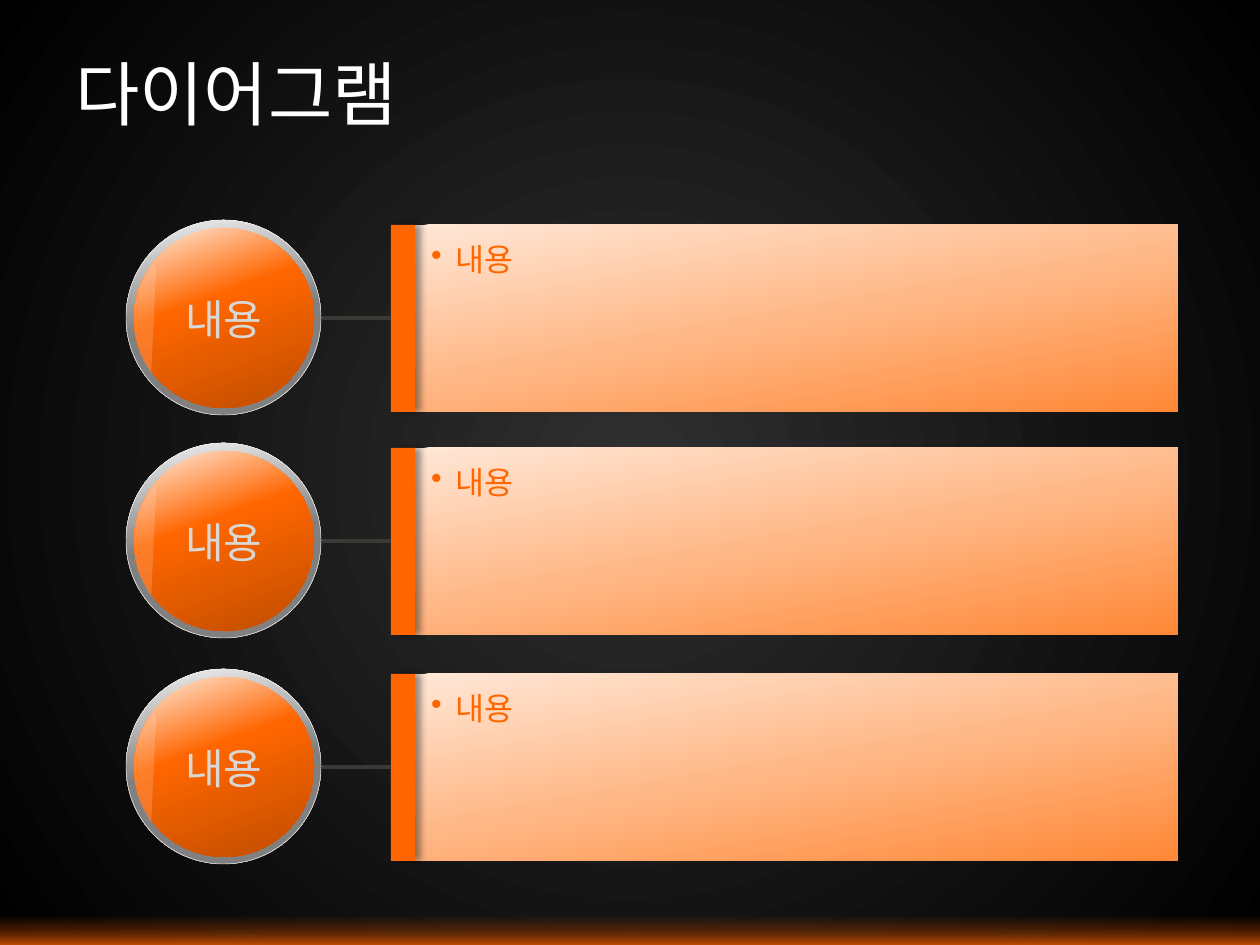
from pptx import Presentation
from pptx.dml.color import RGBColor
from pptx.enum.shapes import MSO_CONNECTOR, MSO_SHAPE
from pptx.enum.text import MSO_ANCHOR, MSO_AUTO_SIZE, PP_ALIGN
from pptx.oxml import parse_xml
from pptx.oxml.ns import nsdecls, qn
from pptx.util import Pt

TITLE = "다이어그램"
ROWS = [(220, "내용", "내용"), (443, "내용", "내용"), (669, "내용", "내용")]
FONT = "Arial"
ORANGE = "FF6600"

BACKDROP = [(0, "2F2F2F", 100), (100, "000000", 100)]
GLOW = [(0, "803300", 0), (50, "803300", 54), (100, "BF4D00", 100)]
RIM = [(0, "F2F2F2", 100), (50, "808080", 100), (100, "808080", 100)]
BALL = [(0, "FFF0E6", 100), (40, ORANGE, 100), (100, "BF4D00", 100)]
PANEL = [(0, "FFE7D7", 100), (50, "FFB887", 100), (100, "FF8837", 100)]
GLOSS = [(0, "FFE0CC", 20), (100, "FFE0CC", 20)]
CIRCLE = '<a:path path="circle"><a:fillToRect l="50000" t="50000" r="50000" b="50000"/></a:path>'

DISC_X, DISC, RIM_W = 126, 195, 8
BALL_SIZE = DISC - 2 * RIM_W + 1
STRIP_X, STRIP_W, PANEL_X, PANEL_W, PANEL_H = 391, 24, 401, 777, 187


def px(n):
    return n * 914400 // 126


def rgb(c):
    return RGBColor.from_string(c)


def add_gradient(owner, fill, stops, shade):
    fill.solid()
    gs = "".join(f'<a:gs pos="{pos * 1000}"><a:srgbClr val="{c}"><a:alpha val="{a * 1000}"/>'
                 '</a:srgbClr></a:gs>' for pos, c, a in stops)
    solid = next(owner.iter(qn("a:solidFill")))
    solid.getparent().replace(solid, parse_xml(
        f'<a:gradFill {nsdecls("a")} rotWithShape="1"><a:gsLst>{gs}</a:gsLst>{shade}</a:gradFill>'))


def linear(deg):
    return f'<a:lin ang="{deg * 60000}" scaled="0"/>'


def add_shape(shapes, kind, box, stops=None, deg=0):
    sp = shapes.add_shape(kind, *map(px, box))
    sp.shadow.inherit = False
    if stops:
        add_gradient(sp._element, sp.fill, stops, linear(deg))
    sp.line.fill.background()
    return sp


def style(p, text, size, color, align=PP_ALIGN.LEFT):
    p.text = text
    p.alignment = align
    f = p.runs[0].font
    f.name, f.size, f.color.rgb = FONT, Pt(size), rgb(color)


def add_text(s, box, text, size, color, align, wrap):
    tf = s.shapes.add_textbox(*map(px, box)).text_frame
    tf.word_wrap = wrap
    tf.auto_size = MSO_AUTO_SIZE.NONE if wrap else MSO_AUTO_SIZE.SHAPE_TO_FIT_TEXT
    tf.vertical_anchor = MSO_ANCHOR.MIDDLE
    style(tf.paragraphs[0], text, size, color, align)


def add_disc(s, y, label):
    shapes = s.shapes.add_group_shape().shapes
    rim = add_shape(shapes, MSO_SHAPE.OVAL, (DISC_X, y, DISC, DISC), RIM, 80)
    rim.line.color.rgb, rim.line.width = rgb("F2F2F2"), Pt(0.25)
    x = DISC_X + RIM_W
    add_shape(shapes, MSO_SHAPE.OVAL, (x, y + RIM_W, BALL_SIZE, BALL_SIZE), BALL, 70)
    gloss = add_shape(shapes, MSO_SHAPE.CHORD, (x, y + RIM_W + 2, BALL_SIZE, BALL_SIZE), GLOSS)
    gloss.rotation = 90
    for i, deg in enumerate((53.95, 131.3)):
        gloss.adjustments[i] = deg * 0.6
    add_text(s, (DISC_X + 44, y + 67, 108, 63), label, 24, "D9D8D6", PP_ALIGN.CENTER, False)


def add_panel(s, y, text):
    shapes = s.shapes.add_group_shape().shapes
    sp = add_shape(shapes, MSO_SHAPE.RECTANGLE, (PANEL_X, y, PANEL_W, PANEL_H), PANEL, 80)
    tf = sp.text_frame
    tf.word_wrap, tf.vertical_anchor = True, MSO_ANCHOR.TOP
    tf.margin_left, tf.margin_top = px(30), px(15)
    p = tf.paragraphs[0]
    pPr = p._p.get_or_add_pPr()
    pPr.set("marL", str(px(24)))
    pPr.set("indent", str(-px(24)))
    pPr.append(parse_xml(f'<a:buChar {nsdecls("a")} char="•"/>'))
    style(p, text, 18, ORANGE)
    strip = add_shape(shapes, MSO_SHAPE.RECTANGLE, (STRIP_X, y, STRIP_W, PANEL_H))
    strip.fill.solid()
    strip.fill.fore_color.rgb = rgb(ORANGE)
    strip._element.spPr.find(qn("a:effectLst")).append(parse_xml(
        f'<a:outerShdw {nsdecls("a")} blurRad="{Pt(4)}" dist="{Pt(3)}" dir="0" algn="l" '
        'rotWithShape="0"><a:srgbClr val="000000"><a:alpha val="40000"/></a:srgbClr></a:outerShdw>'))


def add_link(s, y):
    ends = DISC_X + DISC + 1, y, STRIP_X, y
    ln = s.shapes.add_connector(MSO_CONNECTOR.STRAIGHT, *map(px, ends))
    ln.line.color.rgb, ln.line.width = rgb("3A3936"), Pt(2.25)
    ln._element.spPr.append(parse_xml(f'<a:effectLst {nsdecls("a")}/>'))


def main():
    """Build the diagram slide: three glossy discs, each linked to a panel."""
    prs = Presentation()
    prs.slide_width, prs.slide_height = px(1260), px(945)
    s = prs.slides.add_slide(prs.slide_layouts[6])
    add_gradient(s._element, s.background.fill, BACKDROP, CIRCLE)
    add_shape(s.shapes, MSO_SHAPE.RECTANGLE, (0, 916, 1260, 29), GLOW, 90)
    add_text(s, (63, 38, 1134, 110), TITLE, 40, "FFFFFF", PP_ALIGN.LEFT, True)
    for y, label, text in ROWS:
        add_disc(s, y, label)
        add_panel(s, y + 5, text)
        add_link(s, y + DISC // 2 + 1)
    prs.save("out.pptx")


if __name__ == "__main__":
    main()
